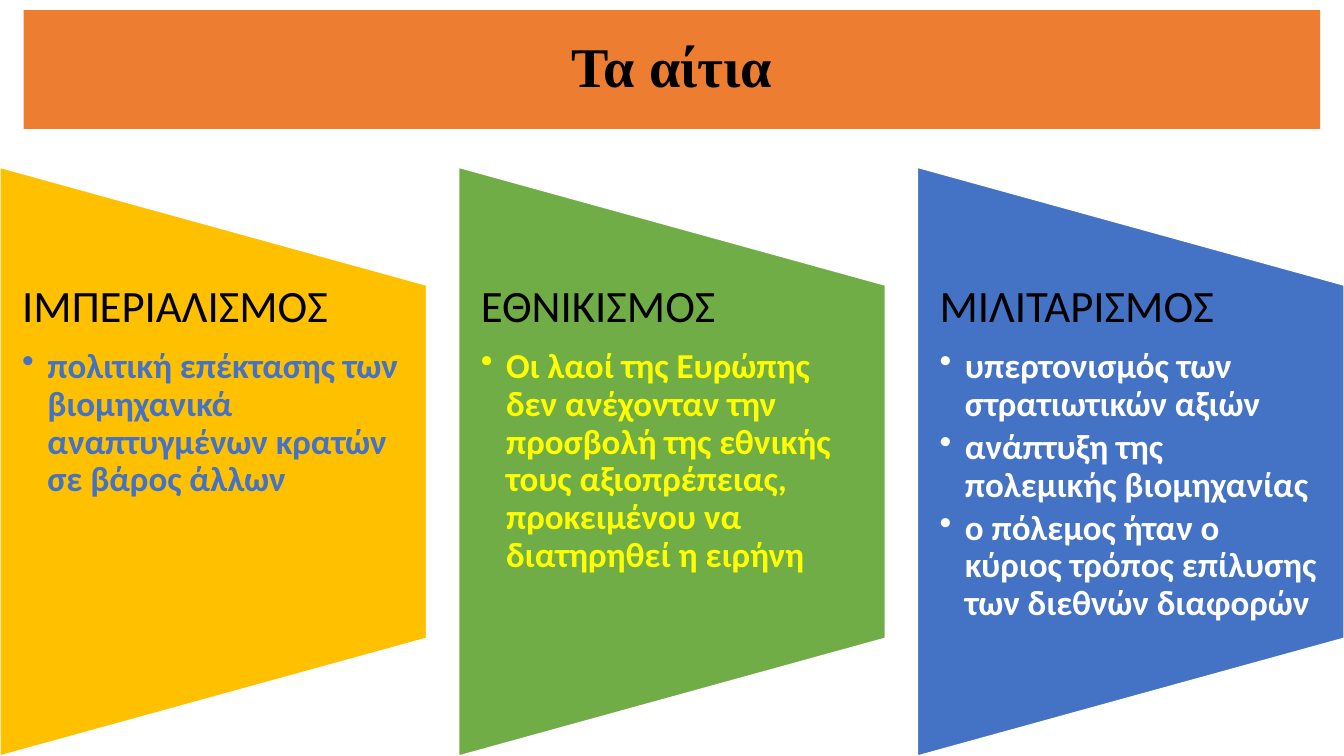
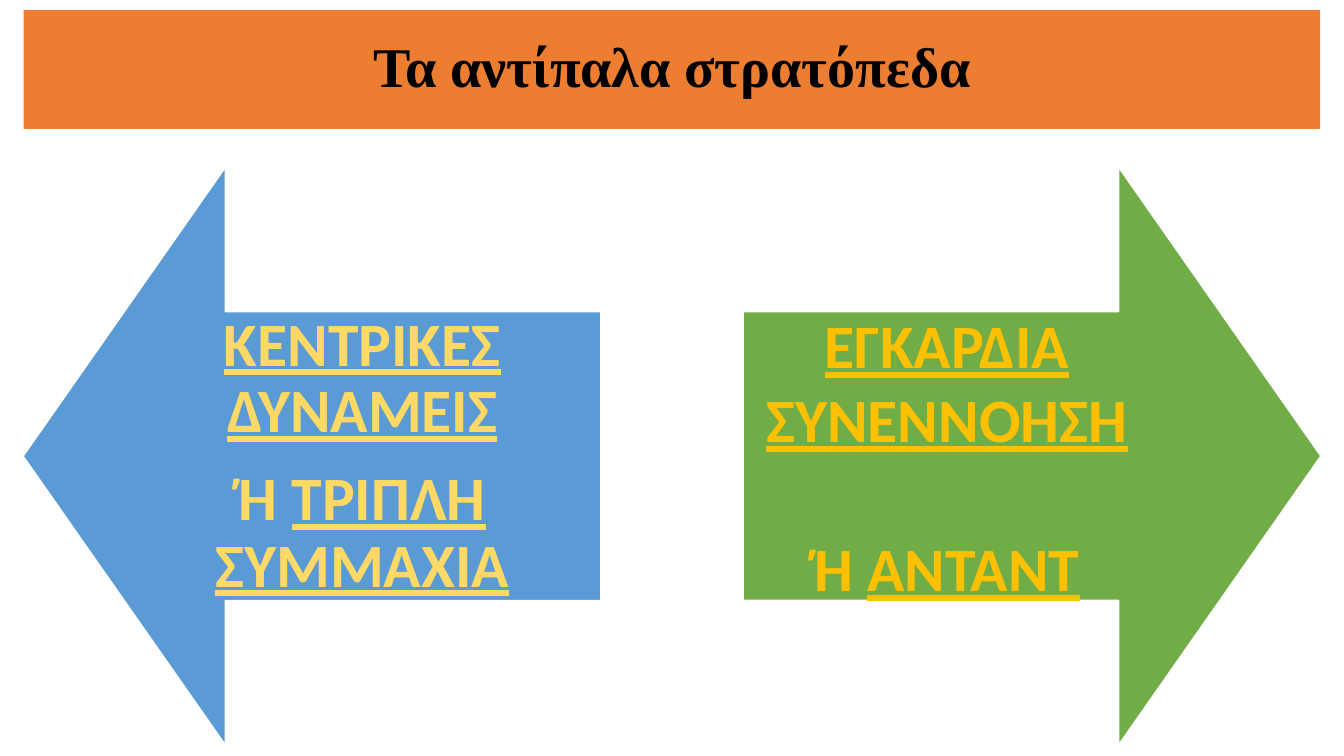
from dataclasses import dataclass

from lxml import etree
from pptx import Presentation
from pptx.dml.color import RGBColor
from pptx.enum.shapes import MSO_SHAPE
from pptx.enum.text import MSO_ANCHOR, MSO_AUTO_SIZE, PP_ALIGN
from pptx.oxml.ns import qn
from pptx.util import Inches, Pt

RECT = MSO_SHAPE.RECTANGLE
TRAPEZOID = MSO_SHAPE.FLOWCHART_MANUAL_OPERATION
ARROW = MSO_SHAPE.UP_ARROW
TOP, MIDDLE = MSO_ANCHOR.TOP, MSO_ANCHOR.MIDDLE
LEFT, CENTER = PP_ALIGN.LEFT, PP_ALIGN.CENTER


@dataclass(frozen=True)
class Theme:
    title_font: str = "Times New Roman"
    body_font: str = "Calibri"
    title_size: int = 40
    heading_size: int = 32
    bullet_size: int = 25
    camp_size: int = 44
    tight: float = 0.9
    black: str = "000000"
    white: str = "FFFFFF"
    orange: str = "ED7D31"
    gold: str = "FFC000"
    pale_gold: str = "FFD966"
    green: str = "70AD47"
    blue: str = "4472C4"
    light_blue: str = "5B9BD5"
    yellow: str = "FFFF00"


T = Theme()

# Content
CAUSES_TITLE = "Τα αίτια"
CAUSES = [  # heading, panel colour, bullet colour, bullets
    ("ΙΜΠΕΡΙΑΛΙΣΜΟΣ", T.gold, T.blue,
     ["πολιτική επέκτασης των βιομηχανικά αναπτυγμένων κρατών σε βάρος άλλων"]),
    ("ΕΘΝΙΚΙΣΜΟΣ", T.green, T.yellow,
     ["Οι λαοί της Ευρώπης δεν ανέχονταν την προσβολή της εθνικής τους "
      "αξιοπρέπειας, προκειμένου να διατηρηθεί η ειρήνη"]),
    ("ΜΙΛΙΤΑΡΙΣΜΟΣ", T.blue, T.white,
     ["υπερτονισμός των στρατιωτικών αξιών",
      "ανάπτυξη της πολεμικής βιομηχανίας",
      "ο πόλεμος ήταν ο κύριος τρόπος επίλυσης των διεθνών διαφορών"]),
]

CAMPS_TITLE = "Τα αντίπαλα στρατόπεδα"
CAMPS = [  # name, other name, arrow, text box and its paragraph settings
    dict(name="ΚΕΝΤΡΙΚΕΣ ΔΥΝΑΜΕΙΣ", other="ΤΡΙΠΛΗ ΣΥΜΜΑΧΙΑ",
         left=0.23, rotation=270, fill=T.light_blue, color=T.pale_gold,
         box=(1.23, 3.1, 4.73, 2.86), insets=(0.34,) * 4, anchor=MIDDLE,
         spacing=T.tight, gap=15.4, grow=False),
    dict(name="ΕΓΚΑΡΔΙΑ ΣΥΝΕΝΝΟΗΣΗ", other="ΑΝΤΑΝΤ",
         left=7.37, rotation=90, fill=T.green, color=T.gold,
         box=(7.46, 3, 3.87, 3.06), insets=(0.1, 0.05, 0.1, 0.05), anchor=TOP,
         spacing=1.0, gap=53.7, grow=True),
]
OR = "Ή "

# Layout, in inches
SLIDE_W, SLIDE_H = 13.33, 7.5
TITLE_BOX = (0.235, 0.1, 12.86, 1.18)
PANEL_W, PANEL_H, PANEL_TOP = 4.23, 5.84, 1.66
PANEL_STEP = (SLIDE_W - PANEL_W) / (len(CAUSES) - 1)
PANEL_TEXT_TOP, PANEL_TEXT_H = 2.82, 3.51
ARROW_SIZE, ARROW_TOP = 5.73, 1.66
BULLET_INDENT = 0.25


def add_shape(s, kind, box, fill, line=None, rotation=0):
    """Place a shape so that its outline, once turned, fills the box."""
    x, y, w, h = box
    if rotation in (90, 270):
        x, y, w, h = x + (w - h) / 2, y + (h - w) / 2, h, w
    sp = s.shapes.add_shape(kind, *map(Inches, (x, y, w, h)))
    sp.rotation = rotation
    sp.shadow.inherit = False
    sp.fill.solid()
    sp.fill.fore_color.rgb = RGBColor.from_string(fill)
    if line:
        sp.line.color.rgb = RGBColor.from_string(line)
        sp.line.width = Pt(1)
    else:
        sp.line.fill.background()
    return sp


def add_text_box(s, box, insets, anchor):
    tf = s.shapes.add_textbox(*map(Inches, box)).text_frame
    tf.word_wrap = True
    tf.vertical_anchor = anchor
    (tf.margin_left, tf.margin_top,
     tf.margin_right, tf.margin_bottom) = map(Inches, insets)
    return tf


def add_paragraph(tf, first=False, bullet=False, align=LEFT,
                  spacing=T.tight, after=0):
    p = tf.paragraphs[0] if first else tf.add_paragraph()
    if bullet:
        p.level = 1
        pPr = p._p.get_or_add_pPr()
        pPr.set("marL", str(Inches(BULLET_INDENT)))
        pPr.set("indent", str(-Inches(BULLET_INDENT)))
        etree.SubElement(pPr, qn("a:buChar")).set("char", "•")
    p.alignment = align
    p.line_spacing = spacing
    p.space_after = Pt(after)
    return p


def add_run(p, text, size, color, font=T.body_font, bold=True, underline=False):
    r = p.add_run()
    r.text = text
    r.font.name = font
    r.font.size = Pt(size)
    r.font.bold = bold
    r.font.underline = underline
    r.font.color.rgb = RGBColor.from_string(color)


def add_slide(prs, title):
    """Blank slide with the shared title band."""
    s = prs.slides.add_slide(prs.slide_layouts[6])
    tf = add_shape(s, RECT, TITLE_BOX, T.orange).text_frame
    tf.word_wrap = True
    tf.vertical_anchor = MIDDLE
    p = add_paragraph(tf, first=True, align=CENTER)
    add_run(p, title, T.title_size, T.black, font=T.title_font)
    return s


def build_causes(prs):
    s = add_slide(prs, CAUSES_TITLE)
    for i, (heading, fill, color, bullets) in enumerate(CAUSES):
        x = i * PANEL_STEP
        add_shape(s, TRAPEZOID, (x, PANEL_TOP, PANEL_W, PANEL_H), fill,
                  line=T.white, rotation=270)
        tf = add_text_box(s, (x, PANEL_TEXT_TOP, PANEL_W, PANEL_TEXT_H),
                          (0.22, 0, 0.23, 0), TOP)
        p = add_paragraph(tf, first=True, after=0.35 * T.heading_size)
        add_run(p, heading, T.heading_size, T.black, bold=False)
        for bullet in bullets:
            p = add_paragraph(tf, bullet=True, after=0.15 * T.bullet_size)
            add_run(p, bullet, T.bullet_size, color)


def build_camps(prs):
    s = add_slide(prs, CAMPS_TITLE)
    for camp in CAMPS:
        arrow = add_shape(s, ARROW, (camp["left"], ARROW_TOP, ARROW_SIZE, ARROW_SIZE),
                          camp["fill"], line=T.white, rotation=camp["rotation"])
        arrow.adjustments[0] = 0.5
        arrow.adjustments[1] = 0.35
        tf = add_text_box(s, camp["box"], camp["insets"], camp["anchor"])
        if camp["grow"]:
            tf.auto_size = MSO_AUTO_SIZE.SHAPE_TO_FIT_TEXT
        style = dict(size=T.camp_size, color=camp["color"])
        p = add_paragraph(tf, first=True, align=CENTER,
                          spacing=camp["spacing"], after=camp["gap"])
        add_run(p, camp["name"], underline=True, **style)
        # Only the left text keeps its gap below the last line
        p = add_paragraph(tf, align=CENTER, spacing=camp["spacing"],
                          after=0 if camp["grow"] else camp["gap"])
        add_run(p, OR, **style)
        add_run(p, camp["other"], underline=True, **style)


def main():
    prs = Presentation()
    prs.slide_width, prs.slide_height = Inches(SLIDE_W), Inches(SLIDE_H)
    build_causes(prs)
    build_camps(prs)
    prs.save("out.pptx")


if __name__ == "__main__":
    main()
